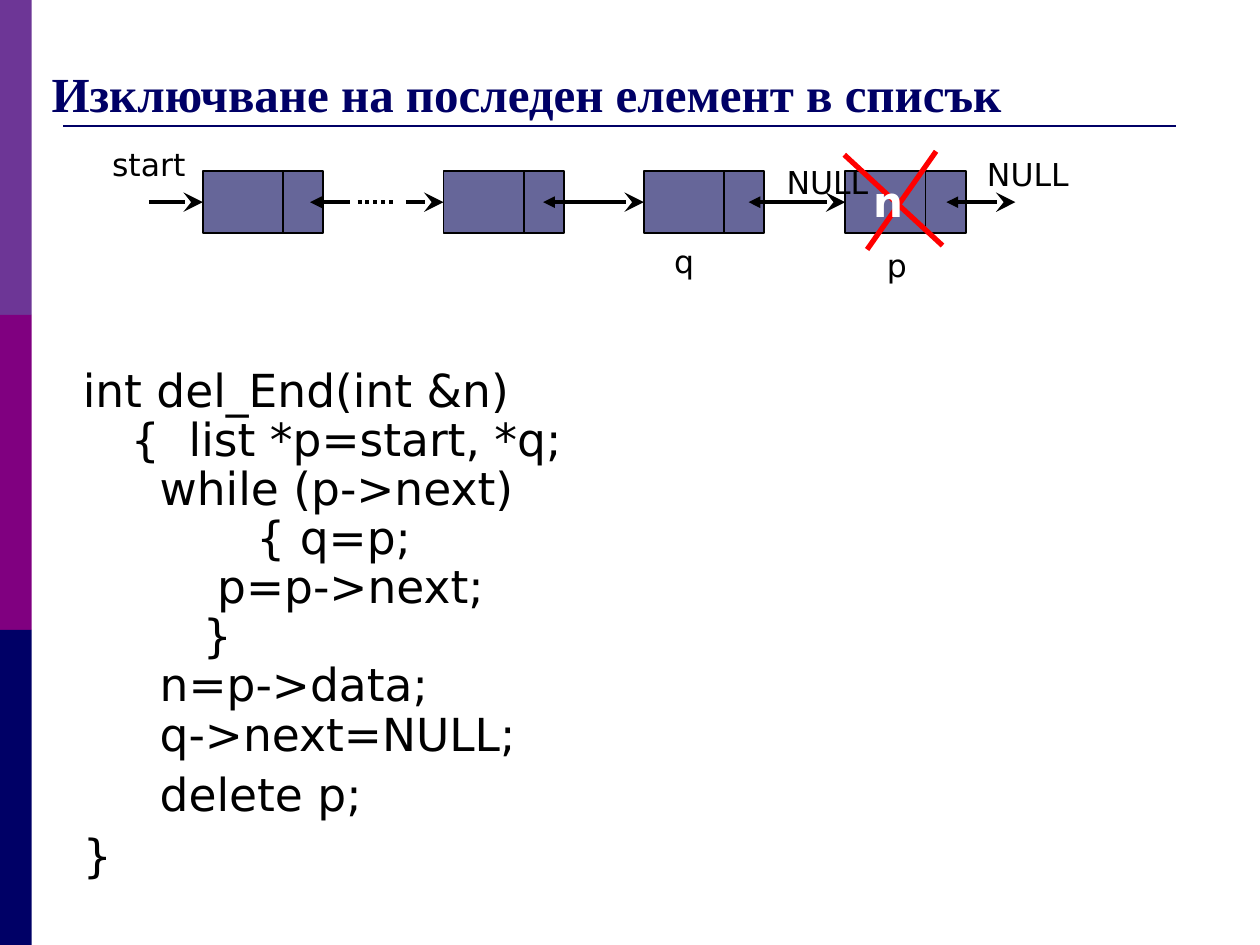
"""Build a slide on removing the last element of a linked list."""
from typing import NamedTuple, Optional

from lxml.etree import SubElement
from pptx import Presentation
from pptx.dml.color import RGBColor
from pptx.enum.dml import MSO_LINE as Dash
from pptx.enum.shapes import MSO_CONNECTOR as Link, MSO_SHAPE as Form
from pptx.enum.text import MSO_ANCHOR as Anchor, PP_ALIGN as Align
from pptx.oxml.ns import qn
from pptx.util import Cm, Pt

NAVY, BLACK, WHITE, RED, SLATE = "000066", "000000", "FFFFFF", "FF0000", "666699"
SANS, SERIF = "DejaVu Sans", "Times New Roman"
TOP, TALL, DATA, NEXT = 3.45, 1.25, 1.62, 0.81
MID = TOP + TALL / 2


class Line(NamedTuple):
    x1: float
    y1: float
    x2: float
    y2: float
    color: str = BLACK
    width: float = 2.25
    head: str = ""
    tail: str = ""
    node: Optional[int] = None
    dash: bool = False


class Label(NamedTuple):
    text: str
    x: float
    y: float
    w: float
    align: Align = Align.LEFT
    size: float = 18
    color: str = BLACK
    bold: bool = False


class Row(NamedTuple):
    text: str
    left: float = 0
    gap: float = 0


BARS = ["6D3696", "800080", NAVY]
NODES = [4.09, 8.94, 12.98, 17.04]
LINES = [
    Line(1.27, 2.54, 23.7, 2.54, NAVY, 1.5),
    Line(3, MID, NODES[0], MID, tail="stealth", node=0),
    Line(6.25, MID, 7.06, MID, head="triangle"),
    Line(7.21, MID, 7.98, MID, dash=True),
    Line(8.18, MID, NODES[1], MID, tail="stealth", node=1),
    Line(10.95, MID, NODES[2], MID, head="triangle", tail="stealth", node=2),
    Line(15.09, MID, NODES[3], MID, head="triangle", tail="stealth", node=3),
    Line(19.08, MID, 20.47, MID, head="triangle", tail="stealth"),
    Line(18.87, 3.05, 17.48, 5.03, RED, 3),
    Line(17.02, 3.12, 19, 4.95, RED, 3),
]
LABELS = [
    Label("start", 2.16, 2.92, 2.49),
    Label("NULL", 19.41, 3.12, 2.62, Align.CENTER),
    Label("NULL", 15.37, 3.28, 2.62, Align.CENTER),
    Label("q", 13.49, 4.88, 0.76),
    Label("p", 17.78, 4.95, 0.74),
    Label("n", 17.5, 3.53, 1.22, size=24, color=WHITE, bold=True),
]
CODE = [
    Row("int del_End(int &n)"),
    Row("{  list *p=start, *q;", 0.97),
    Row("while (p->next)", 1.55),
    Row("{ q=p;", 3.5),
    Row("p=p->next;", 2.71),
    Row("}", 2.42),
    Row("n=p->data;", 1.55),
    Row("q->next=NULL;", 1.55),
    Row("delete p;", 1.55, 6.5),
    Row("}", 0, 6.5),
]


def ink(code: str) -> RGBColor:
    """Turn a hex string into a colour."""
    return RGBColor.from_string(code)


def block(slide, x: float, y: float, w: float, h: float, fill: str, edge: str = ""):
    """Draw a filled rectangle, with a thin edge if one is named."""
    box = slide.shapes.add_shape(Form.RECTANGLE, Cm(x), Cm(y), Cm(w), Cm(h))
    box.shadow.inherit = False
    box.fill.solid()
    box.fill.fore_color.rgb = ink(fill)
    if edge:
        box.line.color.rgb = ink(edge)
        box.line.width = Pt(1)
    else:
        box.line.fill.background()
    return box


def node(slide, x: float):
    """Draw a list node and return its data cell."""
    cell = block(slide, x, TOP, DATA, TALL, SLATE, BLACK)
    block(slide, x + DATA, TOP, NEXT, TALL, SLATE, BLACK)
    return cell


def stroke(slide, line: Line, cells: list) -> None:
    """Draw a line with its arrowheads and join it to its node."""
    ends = [Cm(v) for v in line[:4]]
    wire = slide.shapes.add_connector(Link.STRAIGHT, *ends)
    if line.node is not None:
        wire.end_connect(cells[line.node], 1)
    wire.line.color.rgb = ink(line.color)
    wire.line.width = Pt(line.width)
    if line.dash:
        wire.line.dash_style = Dash.ROUND_DOT
    props = wire._element.spPr
    for tag, kind in (("a:headEnd", line.head), ("a:tailEnd", line.tail)):
        if kind:
            size = "lg" if kind == "stealth" else "med"
            SubElement(props.find(qn("a:ln")), qn(tag), type=kind, w=size, len=size)
    SubElement(props, qn("a:effectLst"))


def write(slide, rows: list[Row], x: float, y: float, w: float, h: float, *,
          size: float, font: str = SANS, color: str = BLACK, bold: bool = False,
          align: Align = Align.LEFT, anchor: Anchor = Anchor.TOP,
          pad: tuple = (0.1, 0), pitch: float = 1) -> None:
    """Write rows of text, one paragraph each, in a text box."""
    frame = slide.shapes.add_textbox(Cm(x), Cm(y), Cm(w), Cm(h)).text_frame
    frame.word_wrap = True
    frame.vertical_anchor = anchor
    frame.margin_left = frame.margin_right = Cm(pad[0])
    frame.margin_top = frame.margin_bottom = Cm(pad[1])
    for i, row in enumerate(rows):
        para = frame.add_paragraph() if i else frame.paragraphs[0]
        para.alignment = align
        para.line_spacing = pitch
        para.space_before = Pt(row.gap)
        para._p.get_or_add_pPr().set("marL", str(Cm(row.left)))
        run = para.add_run()
        run.text = row.text
        run.font.size = Pt(size)
        run.font.name = font
        run.font.bold = bold
        run.font.color.rgb = ink(color)


def main() -> None:
    """Build and save the slide."""
    deck = Presentation()
    deck.slide_width, deck.slide_height = Cm(25.4), Cm(19.05)
    slide = deck.slides.add_slide(deck.slide_layouts[6])
    for i, fill in enumerate(BARS):
        block(slide, 0, i * 6.35, 0.64, 6.35, fill)
    write(slide, CODE, 1.42, 7.29, 22.86, 11.76, size=26, pad=(0.25, 0.13), pitch=0.9)
    write(slide, [Row("Изключване на последен елемент в списък")], 0.79, 0.81, 24.61, 1.78,
          size=28, font=SERIF, color=NAVY, bold=True, anchor=Anchor.BOTTOM, pad=(0.25, 0.13))
    cells = [node(slide, x) for x in NODES]
    for line in LINES:
        stroke(slide, line, cells)
    for tag in LABELS:
        write(slide, [Row(tag.text)], tag.x, tag.y, tag.w, 1, size=tag.size,
              color=tag.color, bold=tag.bold, align=tag.align)
    deck.save("out.pptx")


if __name__ == "__main__":
    main()
